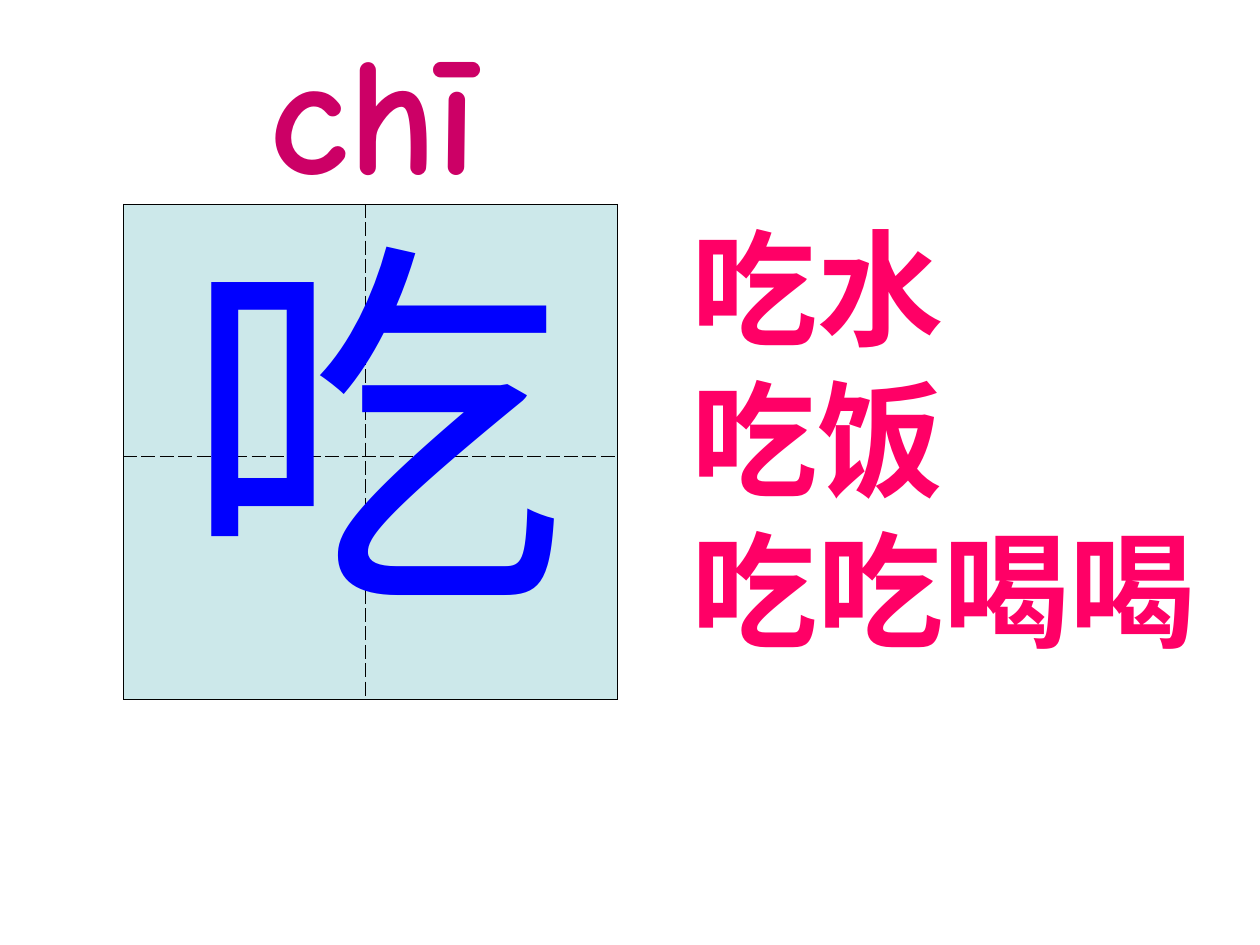
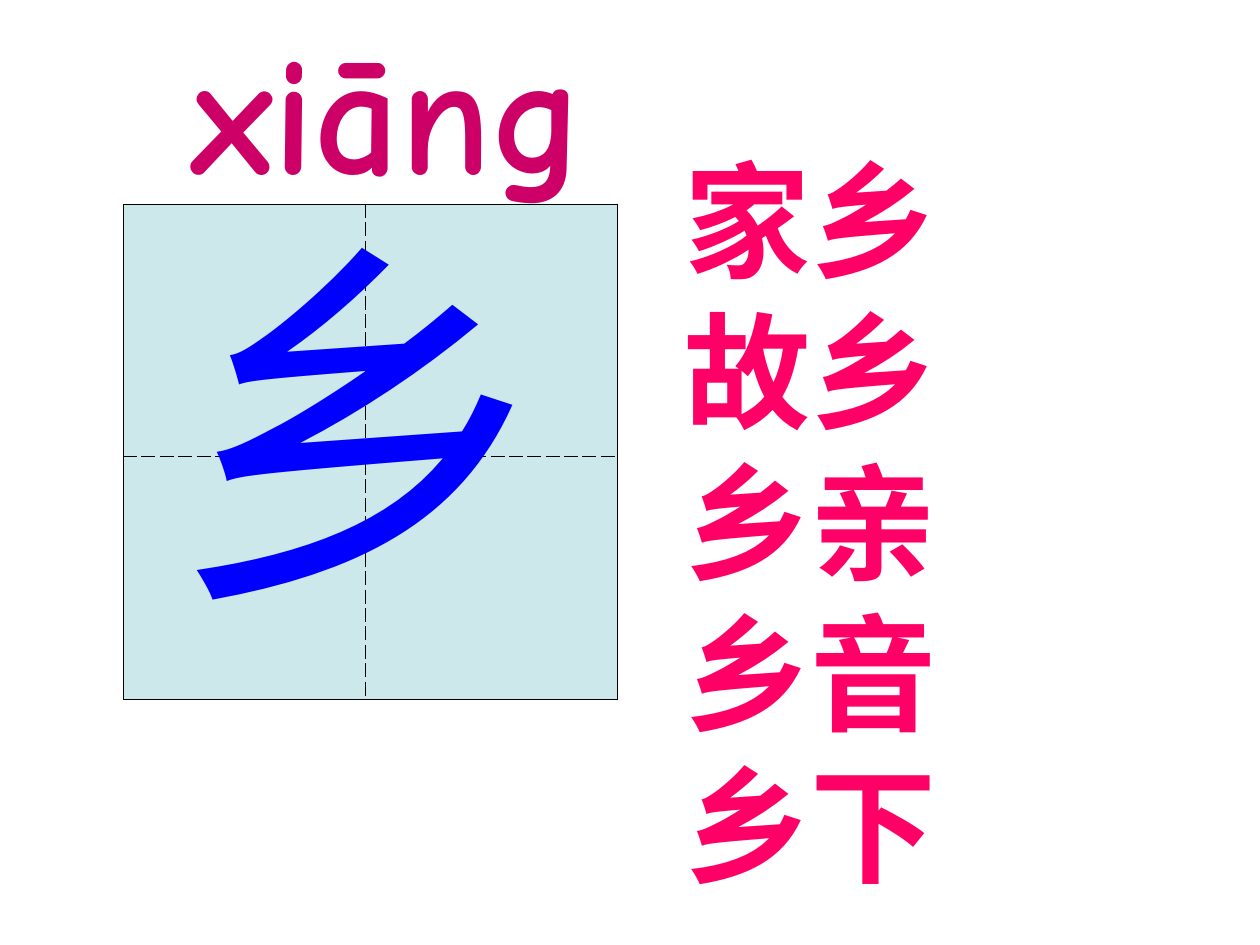
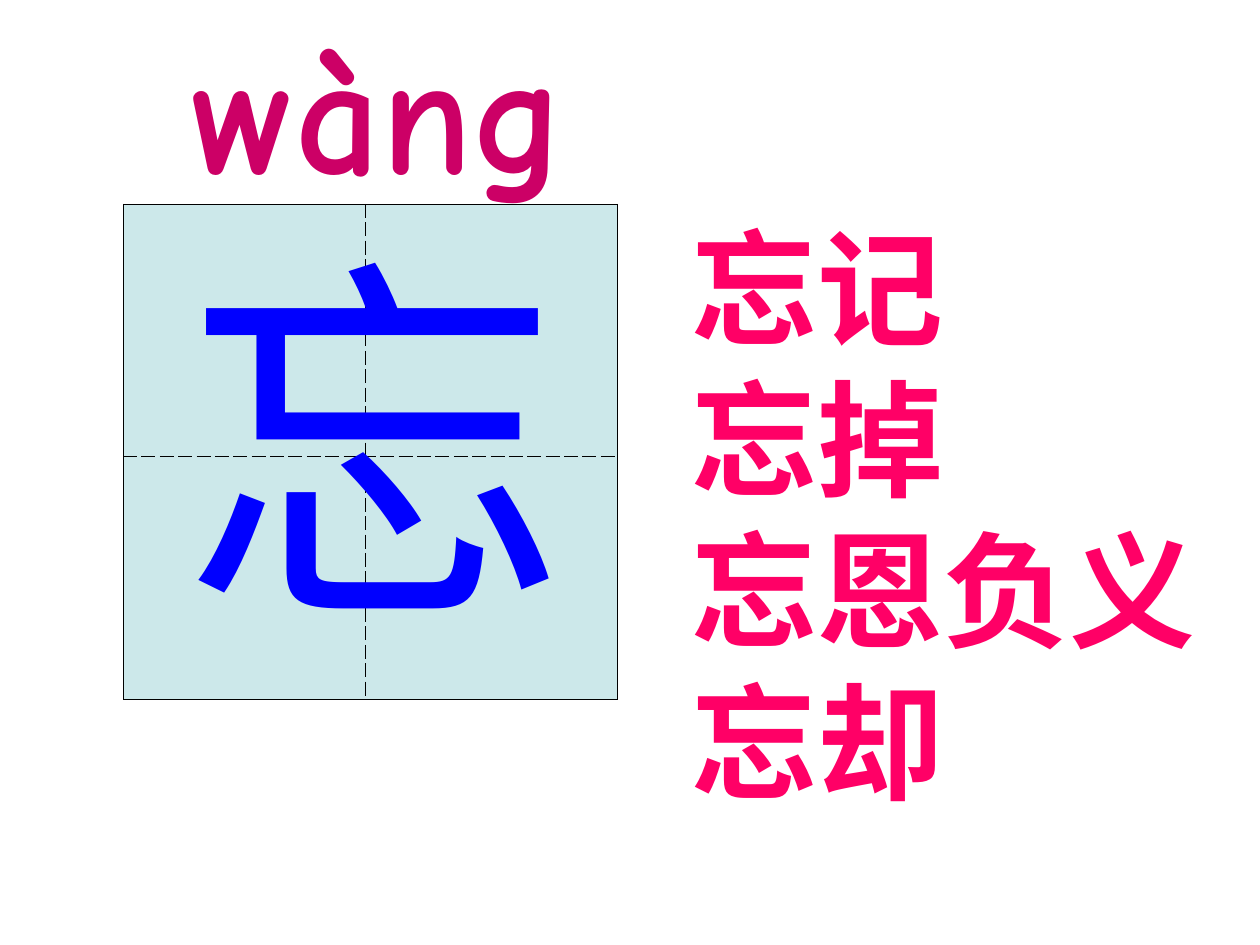
from collections import namedtuple

from lxml.etree import SubElement
from pptx import Presentation
from pptx.dml.color import RGBColor
from pptx.enum.text import MSO_ANCHOR, MSO_AUTO_SIZE, PP_ALIGN
from pptx.oxml.ns import qn
from pptx.util import Inches, Pt

WIDTH, HEIGHT = Inches(10), Inches(7.5)
PINYIN, GLYPH, WORD, SQUARE, RULE = "CC0066", "0000FF", "FF0066", "CCE8EA", "000000"
PINYIN_FONT, HANZI_FONT = "Comic Neue", "Arial"
LINE = 1.2  # line height of the characters, in ems

# Boxes and offsets are percentages of the slide's width and height.
Box = namedtuple("Box", "left top width height")
Lesson = namedtuple("Lesson", "pinyin pinyin_left glyph glyph_shift words words_at")

SQUARE_BOX = Box(9.8, 21.6, 39.2, 52.4)
LESSONS = [
    Lesson("chī", 20.4, "吃", (3.7, -2.67), ["吃水", "吃饭", "吃吃喝喝"], (53.9, 21.6)),
    Lesson("xiāng", 14.2, "乡", (2.7, -2.67),
           ["家乡", "故乡", "乡亲", "乡音", "乡下"], (53.3, 14.4)),
    Lesson("wàng", 14.2, "忘", (3.6, -0.67),
           ["忘记", "忘掉", "忘恩负义", "忘却"], (53.9, 21.6)),
]


def color(hex_string):
    return RGBColor.from_string(hex_string)


def emu(box):
    return [int(share * side / 100) for share, side in zip(box, (WIDTH, HEIGHT) * 2)]


def write(shape, box, lines, *, size, font, fill, bold=False, wrap=True, spacing=None):
    """Place a text shape in its box and fill it with plain, unbulleted lines."""
    shape.left, shape.top, shape.width, shape.height = emu(box)
    frame = shape.text_frame
    frame.text = "\n".join(lines)
    frame.word_wrap = wrap
    frame.auto_size = MSO_AUTO_SIZE.SHAPE_TO_FIT_TEXT
    frame.vertical_anchor = MSO_ANCHOR.TOP
    for paragraph in frame.paragraphs:
        paragraph.alignment = PP_ALIGN.LEFT
        paragraph.space_before = Pt(0)
        if spacing:
            paragraph.line_spacing = Pt(size * spacing)
        properties = paragraph._p.get_or_add_pPr()
        properties.set("marL", "0")
        properties.set("indent", "0")
        SubElement(properties, qn("a:buNone"))
        for run in paragraph.runs:
            run.font.size, run.font.bold, run.font.name = Pt(size), bold, font
            run.font.color.rgb = color(fill)
            SubElement(run._r.get_or_add_rPr(), qn("a:ea"), typeface=font)


def add_border(cell, side, dash):
    line = SubElement(cell._tc.get_or_add_tcPr(), qn(f"a:ln{side}"), w=str(Pt(0.45)))
    paint = SubElement(line, qn("a:solidFill"))
    SubElement(paint, qn("a:srgbClr"), val=RULE)
    SubElement(line, qn("a:prstDash"), val=dash)


def add_practice_square(slide, box):
    """Draw the writing square: solid outside, dashed guides inside."""
    left, top, width, height = emu(box)
    table = slide.shapes.add_table(2, 2, left, top, width, height).table
    table.first_row = table.horz_banding = False
    for index, (column_share, row_share) in enumerate([(0.49, 0.51), (0.51, 0.49)]):
        table.columns[index].width = int(width * column_share)
        table.rows[index].height = int(height * row_share)
    for row in range(2):
        for column in range(2):
            cell = table.cell(row, column)
            inner = {"L": column == 1, "R": column == 0, "T": row == 1, "B": row == 0}
            for side, dashed in inner.items():
                add_border(cell, side, "dash" if dashed else "solid")
            cell.fill.solid()
            cell.fill.fore_color.rgb = color(SQUARE)


def add_glyph(slide, square, glyph, shift):
    box = Box(square.left + shift[0], square.top + shift[1], 32.5, 50.27)
    write(slide.shapes.add_textbox(*emu(box)), box, [glyph], size=220,
          font=HANZI_FONT, fill=GLYPH, wrap=False, spacing=LINE)


def add_lesson(deck, lesson):
    slide = deck.slides.add_slide(deck.slide_layouts[1])
    write(slide.shapes.title, Box(lesson.pinyin_left, 0, 37.5, 22.67), [lesson.pinyin],
          size=96, font=PINYIN_FONT, fill=PINYIN, bold=True)
    add_practice_square(slide, SQUARE_BOX)
    add_glyph(slide, SQUARE_BOX, lesson.glyph, lesson.glyph_shift)
    words_box = Box(*lesson.words_at, 42.5, 16 * len(lesson.words) + 1.33)
    write(slide.placeholders[1], words_box, lesson.words, size=72,
          font=HANZI_FONT, fill=WORD, bold=True, spacing=LINE)


def main():
    deck = Presentation()
    deck.slide_width, deck.slide_height = WIDTH, HEIGHT
    for lesson in LESSONS:
        add_lesson(deck, lesson)
    deck.save("out.pptx")


if __name__ == "__main__":
    main()
